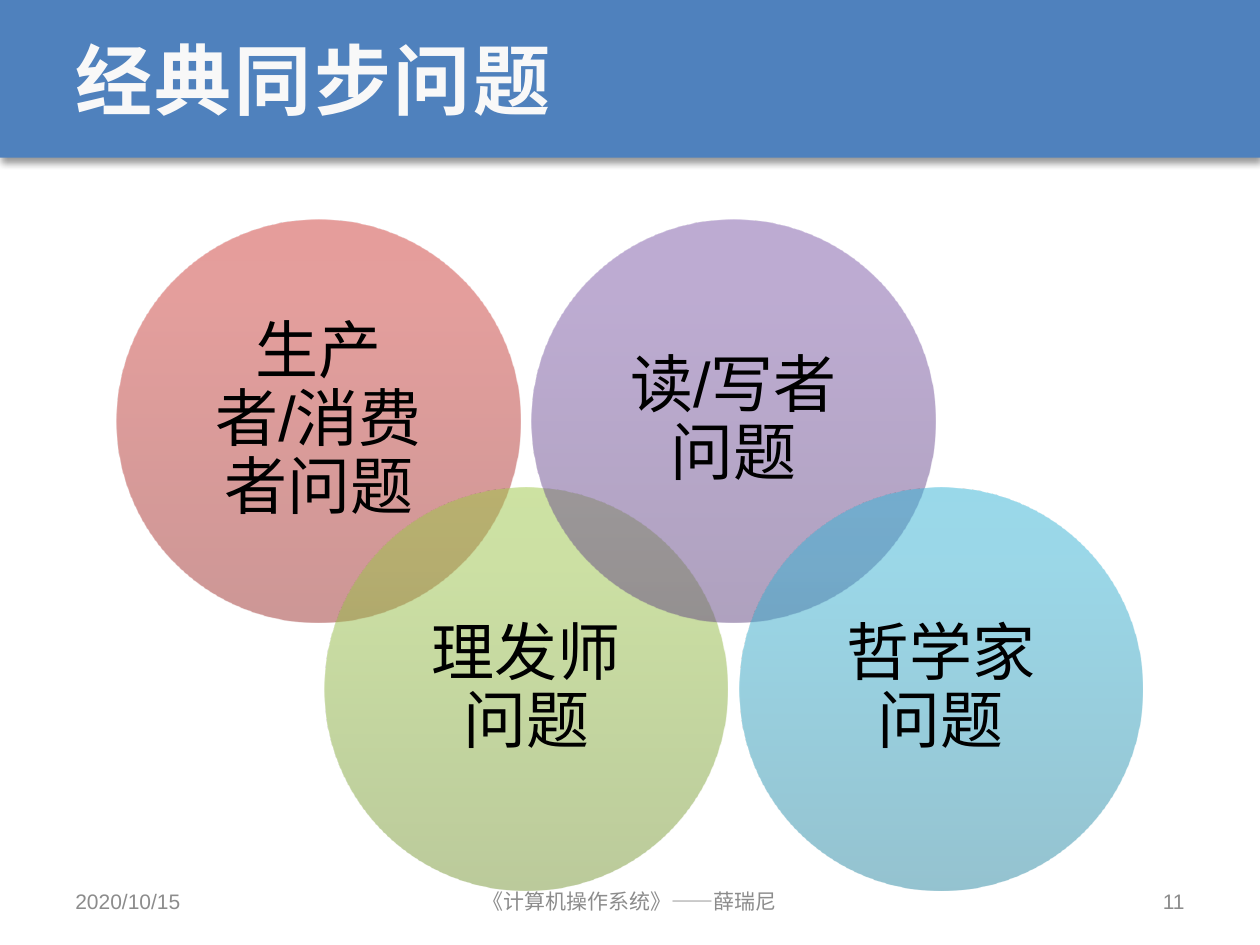
"""Build the slide of classic synchronization problems as four overlapping circles."""
import pptx
import pptx.util
import pptx.dml.color
import pptx.enum.lang
import pptx.enum.shapes
import pptx.enum.text
import pptx.oxml
from pptx.util import Cm

SANS, MONO = "Arial", "DejaVu Sans Mono"
GREY = "8C8C8C"
NS = 'xmlns:a="http://schemas.openxmlformats.org/drawingml/2006/main"'
ALIGN = pptx.enum.text.PP_ALIGN
SHAPE = pptx.enum.shapes.MSO_SHAPE

TITLE = "经典同步问题"
PROBLEMS = [
    ("生产者/消费者问题", ("9C2F2D", "CB3E3A", "CE3B37")),
    ("理发师问题", ("779737", "9BC348", "9DC746")),
    ("读/写者问题", ("5F4480", "7B58A6", "7C57A8")),
    ("哲学家问题", ("2A88A2", "37B1D2", "34B4D6")),
]
FOOTERS = [
    ("2020/10/15", 1.27, 5.92, SANS, ALIGN.LEFT),
    ("《计算机操作系统》——薛瑞尼", 7.2, 11, MONO, ALIGN.CENTER),
    ("11", 18.21, 5.92, SANS, ALIGN.RIGHT),
]
STOPS = (0, 80, 100)
DIAMETER, FIRST_LEFT, STEP = 8.13, 2.36, 4.18
ROW_TOPS = (4.42, 9.83)


def rgb(color):
    """Turn a hex string into a colour."""
    return pptx.dml.color.RGBColor.from_string(color)


def write(sp, text, size=12, font=SANS, color=GREY, bold=False, align=ALIGN.LEFT,
          inset=None, line_spacing=None, tracking=None):
    """Put one formatted paragraph into a shape."""
    tf = sp.text_frame
    tf.word_wrap = True
    tf.vertical_anchor = pptx.enum.text.MSO_ANCHOR.MIDDLE
    if inset is not None:
        tf.margin_left = tf.margin_right = tf.margin_top = tf.margin_bottom = Cm(inset)
    p = tf.paragraphs[0]
    p.alignment = align
    if line_spacing:
        p.line_spacing = line_spacing
    r = p.add_run()
    r.text = text
    r.font.size = pptx.util.Pt(size)
    r.font.name = font
    r.font.bold = bold
    r.font.color.rgb = rgb(color)
    r.font.language_id = pptx.enum.lang.MSO_LANGUAGE_ID.SIMPLIFIED_CHINESE
    if tracking:
        r.font._element.set("spc", str(int(tracking * 100)))


def add_banner(s, width):
    """Draw the title band with its soft shadow below."""
    sp = s.shapes.add_shape(SHAPE.RECTANGLE, 0, 0, width, Cm(3.18))
    sp.fill.solid()
    sp.fill.fore_color.rgb = rgb("4F81BD")
    sp.line.fill.background()
    sp._element.spPr.append(pptx.oxml.parse_xml(
        f'<a:effectLst {NS}><a:outerShdw blurRad="50800" dist="38100" dir="5400000" rotWithShape="0">'
        '<a:srgbClr val="000000"><a:alpha val="40000"/></a:srgbClr></a:outerShdw></a:effectLst>'))


def add_circle(s, left, top, colors):
    """Draw a half-transparent circle shaded from bottom to top."""
    sp = s.shapes.add_shape(SHAPE.OVAL, Cm(left), Cm(top), Cm(DIAMETER), Cm(DIAMETER))
    sp.shadow.inherit = False
    sp.line.fill.background()
    stops = "".join(
        f'<a:gs pos="{pos * 1000}"><a:srgbClr val="{color}"><a:alpha val="50000"/></a:srgbClr></a:gs>'
        for pos, color in zip(STOPS, colors))
    sp._element.spPr.prstGeom.addnext(pptx.oxml.parse_xml(
        f'<a:gradFill {NS} rotWithShape="1"><a:gsLst>{stops}</a:gsLst>'
        '<a:lin ang="16200000" scaled="0"/></a:gradFill>'))
    return sp


def main():
    """Assemble and save the slide."""
    prs = pptx.Presentation()
    prs.slide_width, prs.slide_height = Cm(25.4), Cm(19.05)
    s = prs.slides.add_slide(prs.slide_layouts[6])

    add_banner(s, prs.slide_width)
    title = s.shapes.add_textbox(Cm(1.27), 0, Cm(22.86), Cm(3.18))
    write(title, TITLE, size=44, font=MONO, color="F8F8F8", bold=True, tracking=1.5)

    for i, (text, colors) in enumerate(PROBLEMS):
        sp = add_circle(s, FIRST_LEFT + i * STEP, ROW_TOPS[i % 2], colors)
        write(sp, text, size=36, color="000000", align=ALIGN.CENTER, inset=0.38, line_spacing=0.9)

    for text, left, width, font, align in FOOTERS:
        sp = s.shapes.add_textbox(Cm(left), Cm(17.66), Cm(width), Cm(1.01))
        write(sp, text, font=font, align=align)

    prs.save("out.pptx")


if __name__ == "__main__":
    main()
